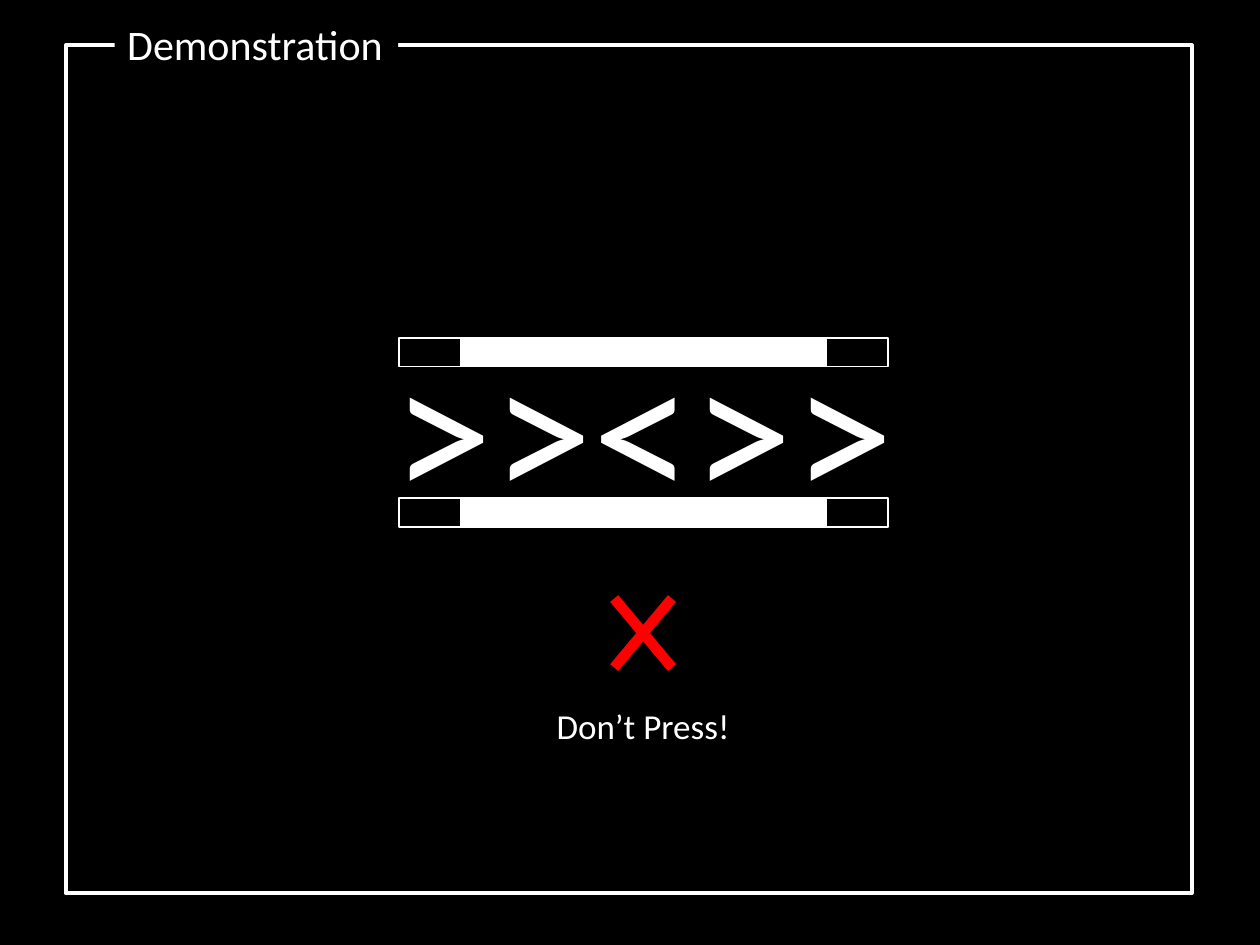
from dataclasses import dataclass

from lxml.etree import SubElement
from pptx import Presentation
from pptx.dml.color import RGBColor
from pptx.enum.shapes import MSO_CONNECTOR, MSO_SHAPE
from pptx.enum.text import MSO_ANCHOR, MSO_AUTO_SIZE, PP_ALIGN
from pptx.oxml.ns import qn
from pptx.util import Pt


@dataclass(frozen=True)
class Theme:
    font: str = "Calibri"
    back: RGBColor = RGBColor(0, 0, 0)
    ink: RGBColor = RGBColor(255, 255, 255)
    wrong: RGBColor = RGBColor(255, 0, 0)
    title: int = 24
    cue: int = 115
    note: int = 20


THEME = Theme()


def place(shape, box):
    shape.left, shape.top, shape.width, shape.height = map(Pt, box)


def write(shape, text, size, align=PP_ALIGN.LEFT, wrap=False):
    frame = shape.text_frame
    frame.text = text
    frame.word_wrap = wrap
    frame.auto_size = MSO_AUTO_SIZE.NONE
    frame.vertical_anchor = MSO_ANCHOR.TOP
    para = frame.paragraphs[0]
    para.alignment = align
    para.font.name = THEME.font
    para.font.size = Pt(size)
    para.font.color.rgb = THEME.ink


def add_rect(slide, box, line, fill=None):
    rect = slide.shapes.add_shape(MSO_SHAPE.RECTANGLE, *map(Pt, box))
    rect.shadow.inherit = False
    rect.line.color.rgb = THEME.ink
    rect.line.width = Pt(line)
    if fill is None:
        rect.fill.background()
    else:
        rect.fill.solid()
        rect.fill.fore_color.rgb = fill


def add_frame(slide, box):
    """Outline the slide, with the title set into its top edge."""
    left, top, *_ = box
    add_rect(slide, box, 2.25)
    title = slide.shapes.title
    place(title, (left + 28, top - 18.7, 162, 36))
    title.fill.solid()
    title.fill.fore_color.rgb = THEME.back
    write(title, "Demonstration", THEME.title)
    # Bring the title in front of the frame
    slide.shapes.element.append(title.element)


def add_cue(slide, box):
    """Row of arrows between two bars, each with a solid core."""
    left, top, width, height = box
    bar, core = 16.5, 209
    for y in (top, top + height - bar):
        add_rect(slide, (left, y, width, bar), 1)
        add_rect(slide, (left + (width - core) / 2, y, core, bar), 1, THEME.ink)
    row = slide.shapes.add_textbox(Pt(left - 11), Pt(top - 24), Pt(431), Pt(147))
    write(row, ">><>>", THEME.cue, wrap=True)


def add_reply(slide, box):
    """Red cross with the instruction below it."""
    left, top, width, height = box
    mid, half, cross = left + width / 2, 16.5, 39.5
    for side in (-half, half):
        line = slide.shapes.add_connector(
            MSO_CONNECTOR.STRAIGHT,
            Pt(mid + side), Pt(top), Pt(mid - side), Pt(top + cross))
        line.line.color.rgb = THEME.wrong
        line.line.width = Pt(6)
        SubElement(line.element.spPr, qn("a:effectLst"))
    note = 31.5
    label = slide.shapes.add_textbox(
        Pt(left), Pt(top + height - note), Pt(width), Pt(note))
    write(label, "Don’t Press!", THEME.note, PP_ALIGN.CENTER)


def main():
    deck = Presentation()
    deck.slide_width, deck.slide_height = Pt(720), Pt(540)
    slide = deck.slides.add_slide(deck.slide_layouts[5])
    slide.background.fill.solid()
    slide.background.fill.fore_color.rgb = THEME.back

    add_cue(slide, (228, 193, 279.5, 108))
    add_reply(slide, (310.5, 342, 114, 88.5))
    add_frame(slide, (37.5, 25.9, 643.5, 484.5))
    deck.save("out.pptx")


if __name__ == "__main__":
    main()
